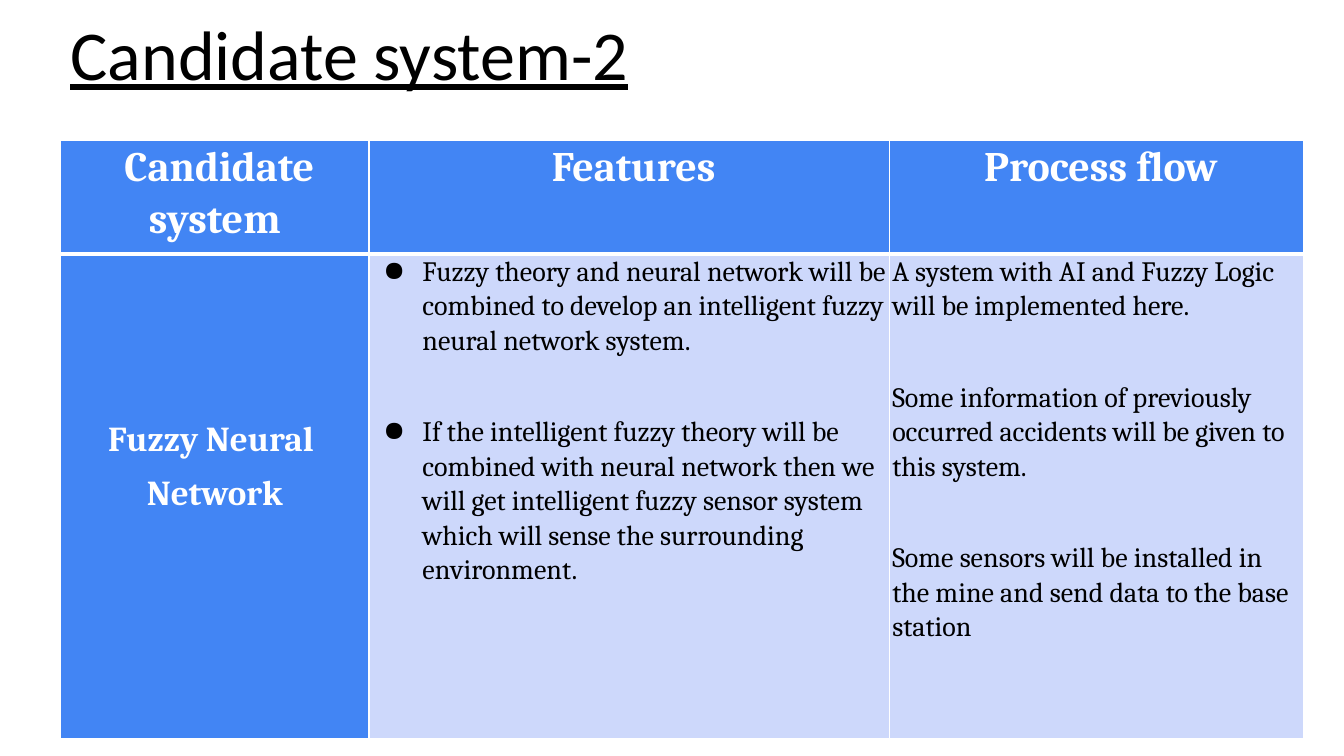
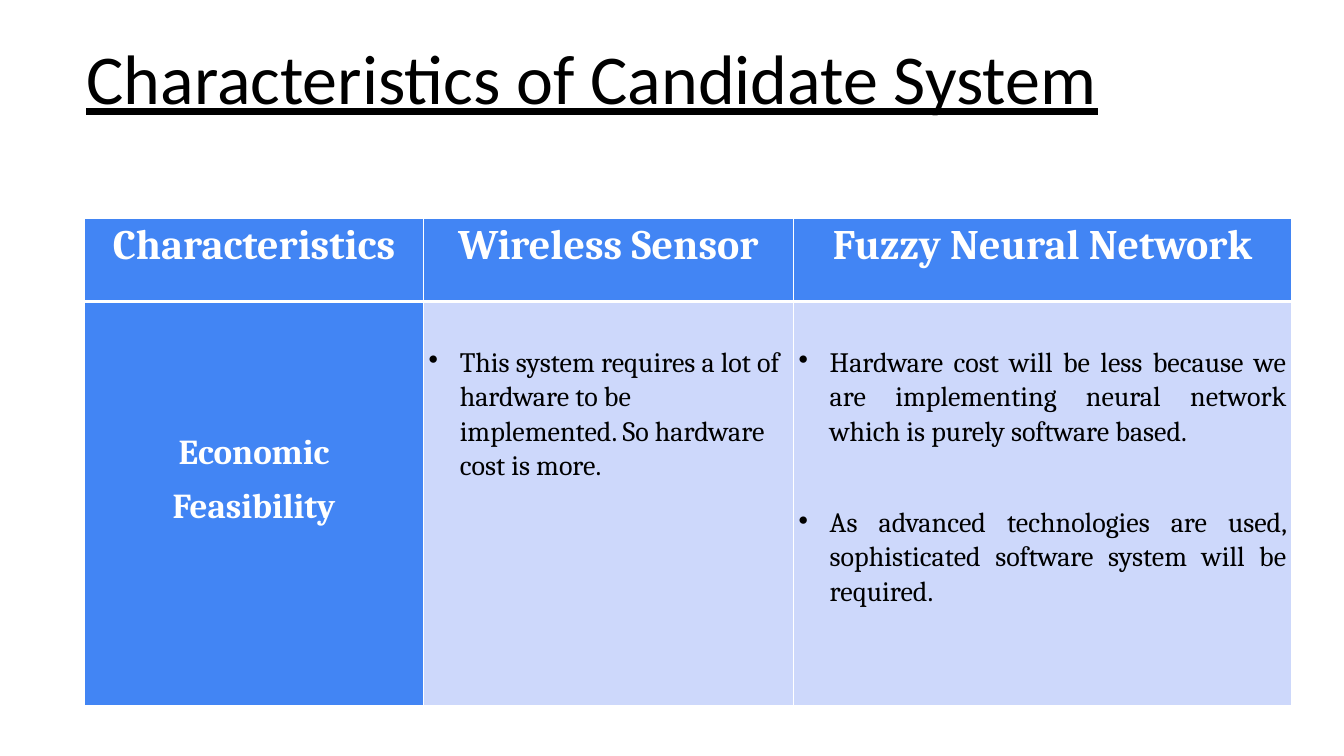
from dataclasses import dataclass

import lxml.etree
import pptx
import pptx.dml.color
import pptx.enum.text
import pptx.oxml.ns
import pptx.slide
import pptx.table
import pptx.text.text
import pptx.util

Inches = pptx.util.Inches
Pt = pptx.util.Pt
Align = pptx.enum.text.PP_ALIGN

BLUE = "4285F4"
PALE_BLUE = "CDD8FB"
WHITE = "FFFFFF"
BLACK = "000000"
TITLE_FONT = "Calibri"
TABLE_FONT = "Cambria"


@dataclass(frozen=True)
class CellStyle:
    fill: str
    color: str
    size: float
    bold: bool
    align: Align
    gap: float = 8


@dataclass(frozen=True)
class BulletStyle:
    symbol: str
    indent: float
    hanging: float


@dataclass(frozen=True)
class CellContent:
    lines: list[str]
    style: CellStyle
    top: float = 0
    bullet: BulletStyle | None = None


@dataclass(frozen=True)
class TableSlide:
    title: str
    title_box: tuple[float, float, float, float]
    table_corner: tuple[float, float]
    columns: list[float]
    rows: list[float]
    side_margin: float
    headers: list[str]
    body: list[CellContent]


HEADER = CellStyle(BLUE, WHITE, 30, True, Align.CENTER)
LABEL = CellStyle(BLUE, WHITE, 25, True, Align.CENTER)
BODY = CellStyle(PALE_BLUE, BLACK, 20, False, Align.LEFT, 40.6)
JUSTIFIED = CellStyle(PALE_BLUE, BLACK, 20, False, Align.JUSTIFY, 40.6)
DISC = BulletStyle("●", 0.5, 0.39)
DOT = BulletStyle("•", 0.31, 0.31)

SLIDES = [
    TableSlide(
        title="Candidate system-2",
        title_box=(0.6, 0.05, 8.52, 1.11),
        table_corner=(0.6, 1.39),
        columns=[3.06, 5.16, 4.11],
        rows=[1.13, 4.81],
        side_margin=0.03,
        headers=[" Candidate system", " Features", " Process flow"],
        body=[
            CellContent(["Fuzzy Neural ", "Network"], LABEL, top=1.62),
            CellContent(
                [
                    "Fuzzy theory and neural network will be combined to develop "
                    "an intelligent fuzzy neural network system.",
                    "If the intelligent fuzzy theory will be combined with neural "
                    "network then we will get intelligent fuzzy sensor system "
                    "which will sense the surrounding environment.",
                ],
                BODY,
                bullet=DISC,
            ),
            CellContent(
                [
                    "A system with AI and Fuzzy Logic will be implemented here.",
                    "Some information of previously occurred accidents will be "
                    "given to this system.",
                    "Some sensors will be installed in the mine and send data to "
                    "the base station",
                ],
                BODY,
            ),
        ],
    ),
    TableSlide(
        title="Characteristics of Candidate System",
        title_box=(0.76, 0.29, 12.34, 1.11),
        table_corner=(0.84, 2.17),
        columns=[3.36, 3.67, 4.94],
        rows=[0.82, 4.01],
        side_margin=0.05,
        headers=["Characteristics", "Wireless Sensor", "Fuzzy Neural Network"],
        body=[
            CellContent(["Economic", "Feasibility"], LABEL, top=1.28),
            CellContent(
                [
                    "This system requires a lot of hardware to be implemented. "
                    "So hardware cost is more.",
                ],
                BODY,
                top=0.43,
                bullet=DOT,
            ),
            CellContent(
                [
                    "Hardware cost will be less because we are implementing "
                    "neural network which is purely software based.",
                    "As advanced technologies are used, sophisticated software "
                    "system will be required.",
                ],
                JUSTIFIED,
                top=0.43,
                bullet=DOT,
            ),
        ],
    ),
]


def rgb(color: str) -> pptx.dml.color.RGBColor:
    return pptx.dml.color.RGBColor.from_string(color)


def add_element(parent: lxml.etree._Element, tag: str, **attributes: str) -> lxml.etree._Element:
    return lxml.etree.SubElement(parent, pptx.oxml.ns.qn(tag), attributes)


def add_solid_color(parent: lxml.etree._Element, color: str) -> None:
    add_element(add_element(parent, "a:solidFill"), "a:srgbClr", val=color)


def set_borders(cell: pptx.table._Cell, top: float, bottom: float) -> None:
    properties = cell._tc.get_or_add_tcPr()
    for side, width in (("L", 1), ("R", 1), ("T", top), ("B", bottom)):
        line = add_element(properties, f"a:ln{side}", w=str(Pt(width)))
        add_solid_color(line, WHITE)


def set_bullet(paragraph: pptx.text.text._Paragraph, bullet: BulletStyle, color: str) -> None:
    properties = paragraph._p.get_or_add_pPr()
    properties.set("marL", str(Inches(bullet.indent)))
    properties.set("indent", str(-Inches(bullet.hanging)))
    add_element(add_element(properties, "a:buClr"), "a:srgbClr", val=color)
    add_element(properties, "a:buChar", char=bullet.symbol)


def fill_cell(cell: pptx.table._Cell, content: CellContent, side_margin: float) -> None:
    style = content.style
    cell.fill.solid()
    cell.fill.fore_color.rgb = rgb(style.fill)
    cell.margin_left = cell.margin_right = Inches(side_margin)
    cell.margin_top = Inches(content.top)
    cell.margin_bottom = Inches(0)
    for index, line in enumerate(content.lines):
        frame = cell.text_frame
        paragraph = frame.add_paragraph() if index else frame.paragraphs[0]
        paragraph.text = line
        if content.bullet:
            set_bullet(paragraph, content.bullet, style.color)
        paragraph.alignment = style.align
        paragraph.line_spacing = 1.07
        paragraph.space_before = Pt(style.gap if index else 0)
        paragraph.font.name = TABLE_FONT
        paragraph.font.size = Pt(style.size)
        paragraph.font.bold = style.bold
        paragraph.font.color.rgb = rgb(style.color)


def add_comparison_table(slide: pptx.slide.Slide, content: TableSlide) -> None:
    left, top = content.table_corner
    shape = slide.shapes.add_table(
        len(content.rows),
        len(content.columns),
        Inches(left),
        Inches(top),
        Inches(sum(content.columns)),
        Inches(sum(content.rows)),
    )
    table = shape.table
    table.first_row = table.horz_banding = False
    for column, width in zip(table.columns, content.columns):
        column.width = Inches(width)
    for row, height in zip(table.rows, content.rows):
        row.height = Inches(height)
    headers = [CellContent([text], HEADER) for text in content.headers]
    for row_index, cells in enumerate((headers, content.body)):
        for column_index, cell_content in enumerate(cells):
            cell = table.cell(row_index, column_index)
            set_borders(cell, *((3, 1) if row_index else (1, 3)))
            fill_cell(cell, cell_content, content.side_margin)


def add_title(slide: pptx.slide.Slide, content: TableSlide) -> None:
    box = slide.shapes.add_textbox(*map(Inches, content.title_box))
    frame = box.text_frame
    frame.word_wrap = True
    frame.auto_size = pptx.enum.text.MSO_AUTO_SIZE.SHAPE_TO_FIT_TEXT
    paragraph = frame.paragraphs[0]
    paragraph.text = content.title
    paragraph.font.name = TITLE_FONT
    paragraph.font.size = Pt(50)
    paragraph.font.underline = True
    paragraph.font.color.rgb = rgb(BLACK)


def main() -> None:
    presentation = pptx.Presentation()
    presentation.slide_width = Inches(13.33)
    presentation.slide_height = Inches(7.5)
    blank_layout = presentation.slide_layouts[6]
    for content in SLIDES:
        slide = presentation.slides.add_slide(blank_layout)
        add_comparison_table(slide, content)
        add_title(slide, content)
    presentation.save("out.pptx")


if __name__ == "__main__":
    main()
